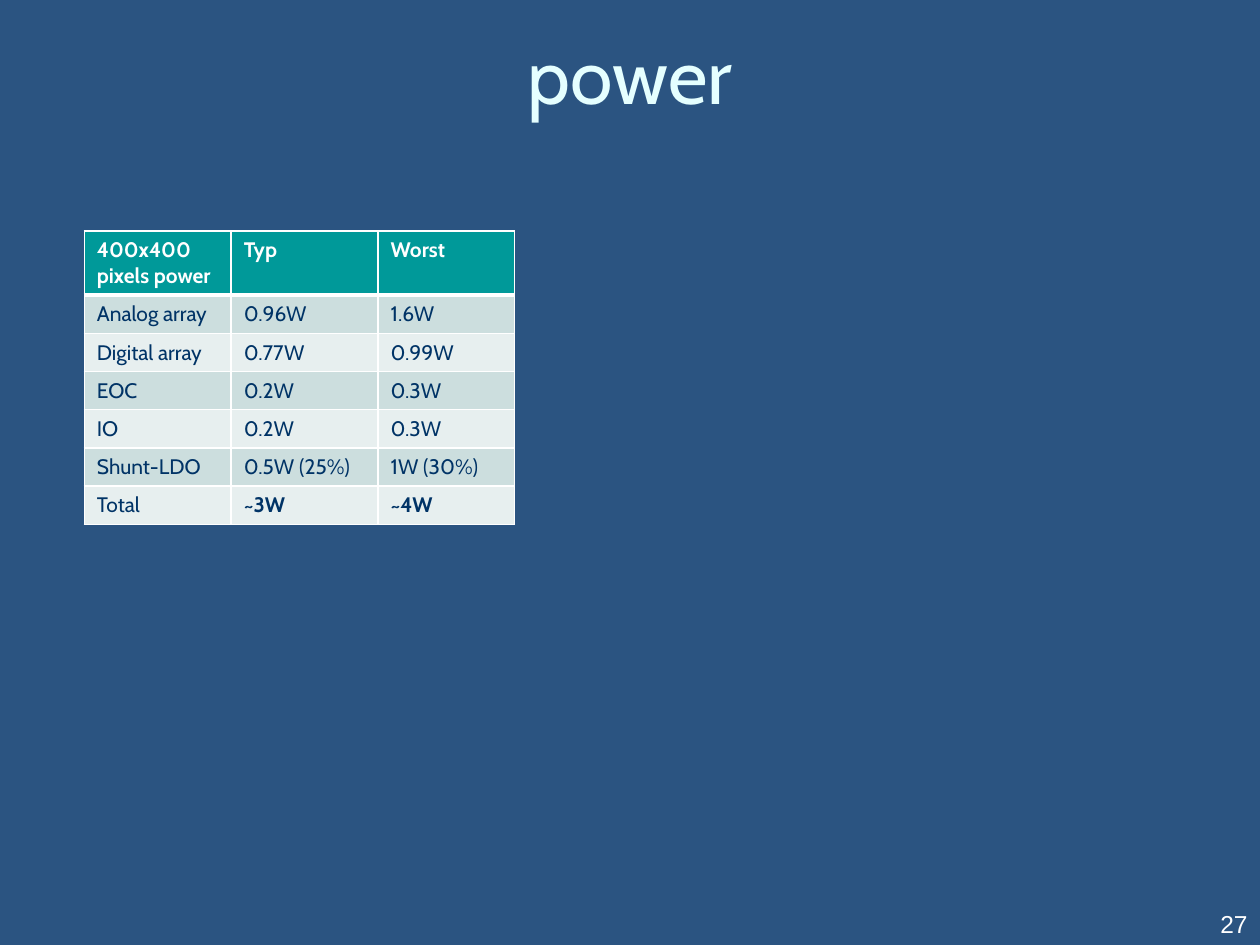
from lxml import etree
from pptx import Presentation
from pptx.dml.color import RGBColor
from pptx.enum.text import MSO_ANCHOR, PP_ALIGN
from pptx.oxml.ns import qn
from pptx.util import Cm, Pt

LEFT, CENTER, RIGHT = PP_ALIGN.LEFT, PP_ALIGN.CENTER, PP_ALIGN.RIGHT
MIDDLE, BOTTOM = MSO_ANCHOR.MIDDLE, MSO_ANCHOR.BOTTOM

BACKGROUND = RGBColor(0x2B, 0x54, 0x81)
TITLE_COLOR = RGBColor(0xE5, 0xFF, 0xFF)
WHITE = RGBColor(0xFF, 0xFF, 0xFF)
NAVY = RGBColor(0x00, 0x33, 0x66)
TEAL = RGBColor(0x00, 0x99, 0x99)
BANDS = (RGBColor(0xE7, 0xEF, 0xEF), RGBColor(0xCC, 0xDE, 0xDE))

COLUMN_WIDTHS = (2.96, 2.96, 2.75)
HEADER_HEIGHT, ROW_HEIGHT = 1.29, 0.77
POWER_ROWS = (
    ("400x400 pixels power", "Typ", "Worst"),
    ("Analog array", "0.96W", "1.6W"),
    ("Digital array", "0.77W", "0.99W"),
    ("EOC", "0.2W", "0.3W"),
    ("IO", "0.2W", "0.3W"),
    ("Shunt-LDO", "0.5W (25%)", "1W (30%)"),
    ("Total", "~3W", "~4W"),
)


def write_text(frame, text, *, size, color, font="Cabin", bold=False, align=LEFT):
    para = frame.paragraphs[0]
    para.alignment = align
    span = para.add_run()
    span.text = text
    span.font.name = font
    span.font.size = Pt(size)
    span.font.bold = bold
    span.font.color.rgb = color


def add_text_box(page, left, top, width, height, text, *, anchor, **text_format):
    box = page.shapes.add_textbox(Cm(left), Cm(top), Cm(width), Cm(height))
    frame = box.text_frame
    frame.word_wrap = True
    frame.vertical_anchor = anchor
    write_text(frame, text, **text_format)


def set_borders(cell, **widths):
    """Draw white cell borders; widths in points are keyed by side: L, R, T, B."""
    properties = cell._tc.get_or_add_tcPr()
    for side, width in widths.items():
        line = etree.SubElement(properties, qn(f"a:ln{side}"), w=str(Pt(width)))
        fill = etree.SubElement(line, qn("a:solidFill"))
        etree.SubElement(fill, qn("a:srgbClr"), val=str(WHITE))


def add_power_table(page, left, top):
    height = HEADER_HEIGHT + ROW_HEIGHT * (len(POWER_ROWS) - 1)
    table = page.shapes.add_table(
        len(POWER_ROWS), len(COLUMN_WIDTHS),
        Cm(left), Cm(top), Cm(sum(COLUMN_WIDTHS)), Cm(height),
    ).table
    for column, width in zip(table.columns, COLUMN_WIDTHS):
        column.width = Cm(width)

    last_row = len(POWER_ROWS) - 1
    for row_index, values in enumerate(POWER_ROWS):
        header = row_index == 0
        table.rows[row_index].height = Cm(HEADER_HEIGHT if header else ROW_HEIGHT)
        for column_index, value in enumerate(values):
            cell = table.cell(row_index, column_index)
            set_borders(cell, L=1, R=1, T=3 if row_index == 1 else 1, B=3 if header else 1)
            cell.fill.solid()
            cell.fill.fore_color.rgb = TEAL if header else BANDS[row_index % 2]
            total_value = row_index == last_row and column_index > 0
            write_text(cell.text_frame, value, size=12,
                       color=WHITE if header else NAVY, bold=header or total_value)


def main():
    deck = Presentation()
    deck.slide_width, deck.slide_height = Cm(25.4), Cm(19.05)
    page = deck.slides.add_slide(deck.slide_layouts[6])
    page.background.fill.solid()
    page.background.fill.fore_color.rgb = BACKGROUND

    add_text_box(page, 1.27, 0.43, 22.86, 2.11, "power",
                 anchor=MIDDLE, size=44, color=TITLE_COLOR, align=CENTER)
    add_power_table(page, 1.7, 4.66)
    add_text_box(page, 24.13, 17.73, 1.27, 1.32, "27",
                 anchor=BOTTOM, size=14, color=WHITE, font="Arial", align=RIGHT)
    deck.save("out.pptx")


if __name__ == "__main__":
    main()
